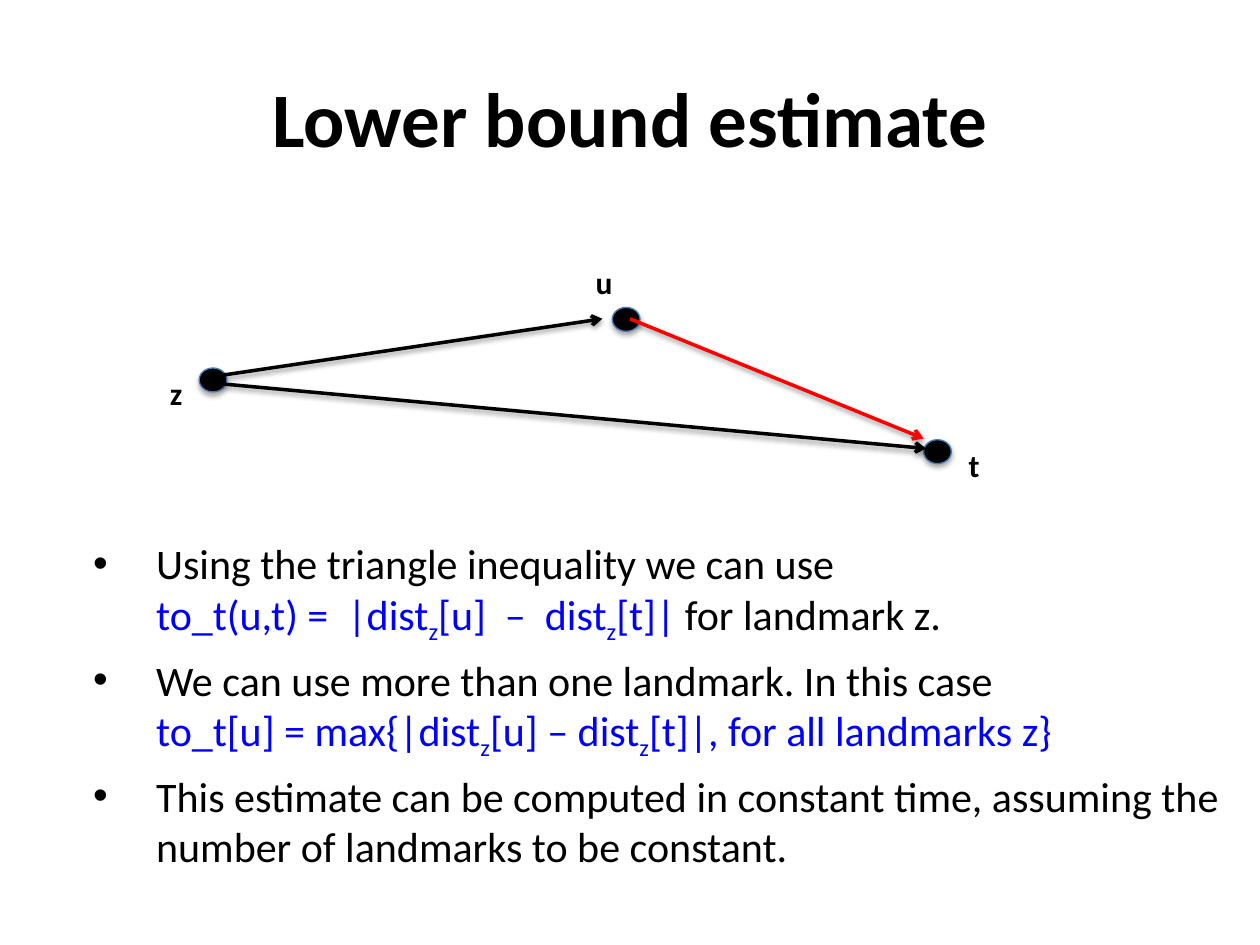
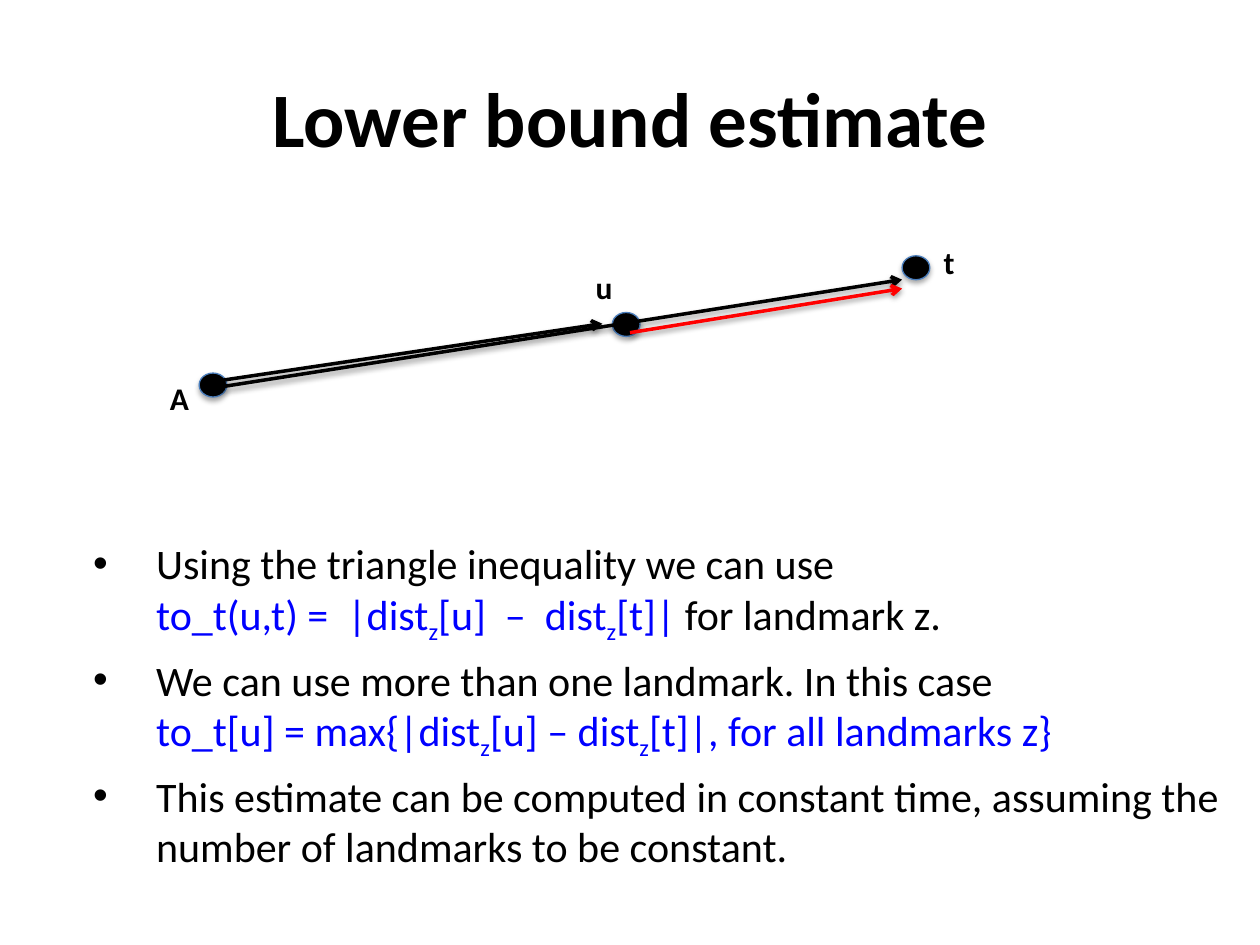
import lxml.etree
import pptx
import pptx.dml.color
import pptx.enum.shapes
import pptx.enum.text
import pptx.oxml.ns
import pptx.util

Pt = pptx.util.Pt
HUES = {"ink": "000000", "math": "0000FF", "path": "FF0000",
        "rim": "4B7EBC", "back": "FFFFFF"}
FONT = "Calibri"
TITLE = "Lower bound estimate"
DOT = (15.84, 13.68)
ITEMS = [
    ("Using the triangle inequality we can use",
     "to_t(u,t) =  |dist~z~[u]  –  dist~z~[t]| ", "for landmark z."),
    ("We can use more than one landmark. In this case",
     "to_t[u] = max{|dist~z~[u] – dist~z~[t]|, for all landmarks z}", ""),
    ("This estimate can be computed in constant time, assuming the "
     "number of landmarks to be constant.", "", ""),
]
BENT = {
    "nodes": [("z", (121.7, 217.1), (-31.7, -6.8)),
              ("t", (535.7, 258.1), (10.8, -6.8)),
              ("u", (357.8, 182.5), (-24.5, -35.6))],
    "edges": [((121, 215.3), (344.2, 182.2), "ink"),
              ((121.7, 218.9), (529.2, 256.3), "ink"),
              ((360, 182.2), (527.8, 250.6), "path")],
}
FLAT = {
    "nodes": [("A", (121.7, 220), (-31.7, -6.8)),
              ("t", (523.4, 153), (8.7, -17.6)),
              ("u", (357.8, 185.4), (-24.5, -35.6))],
    "edges": [((121, 218.2), (344.2, 185), "ink"),
              ((121.7, 221.8), (515.5, 159.8), "ink"),
              ((360, 190.1), (515.5, 164.9), "path")],
}


def tint(name):
    return pptx.dml.color.RGBColor.from_string(HUES[name])


def tag(parent, name, **attrs):
    return lxml.etree.SubElement(parent, pptx.oxml.ns.qn(name), attrs)


def place(shape, left, top, width, height):
    shape.left, shape.top = Pt(left), Pt(top)
    shape.width, shape.height = Pt(width), Pt(height)


def style(run, size, hue="ink", bold=False):
    font = run.font
    font.name, font.size, font.bold = FONT, Pt(size), bold
    font.color.rgb = tint(hue)


def shade(shape, alpha, dist):
    effects = tag(shape.element.spPr, "a:effectLst")
    outer = tag(effects, "a:outerShdw", blurRad=str(Pt(3.1)),
                dist=str(Pt(dist)), dir="5400000", rotWithShape="0")
    color = tag(outer, "a:srgbClr", val=HUES["ink"])
    tag(color, "a:alpha", val=str(alpha * 1000))


def add_dot(slide, center):
    x, y = center
    width, height = DOT
    dot = slide.shapes.add_shape(
        pptx.enum.shapes.MSO_SHAPE.OVAL, Pt(x - width / 2),
        Pt(y - height / 2), Pt(width), Pt(height))
    dot.fill.solid()
    dot.fill.fore_color.rgb = tint("ink")
    dot.line.color.rgb = tint("rim")
    dot.line.width = Pt(0.75)
    shade(dot, 35, 1.8)


def add_label(slide, text, center, shift):
    left, top = center[0] + shift[0], center[1] + shift[1]
    box = slide.shapes.add_textbox(Pt(left), Pt(top), Pt(33), Pt(28.8))
    frame = box.text_frame
    frame.word_wrap = True
    frame.text = text
    style(frame.paragraphs[0].runs[0], 18, bold=True)


def add_edge(slide, start, end, hue):
    edge = slide.shapes.add_connector(
        pptx.enum.shapes.MSO_CONNECTOR.STRAIGHT,
        *[Pt(value) for value in start + end])
    edge.line.color.rgb = tint(hue)
    edge.line.width = Pt(2)
    tag(edge.line._get_or_add_ln(), "a:tailEnd", type="arrow")
    shade(edge, 38, 1.6)


def add_run(para, text, hue="ink", low=False):
    run = para.add_run()
    run.text = text
    style(run, 24, hue)
    if low:
        run.font._element.set("baseline", "-25000")


def fill_item(para, lead, math, tail):
    props = para._p.get_or_add_pPr()
    props.set("marL", str(Pt(36)))
    props.set("indent", str(Pt(-36)))
    para.space_before = Pt(4.8)
    add_run(para, lead)
    if math:
        para.add_line_break()
        for index, part in enumerate(math.split("~")):
            add_run(para, part, "math", index % 2 == 1)
    if tail:
        add_run(para, tail)


def add_title(slide):
    title = slide.shapes.title
    place(title, 36, 21.6, 648, 90)
    frame = title.text_frame
    frame.text = TITLE
    frame.vertical_anchor = pptx.enum.text.MSO_ANCHOR.MIDDLE
    frame.paragraphs[0].alignment = pptx.enum.text.PP_ALIGN.CENTER
    style(frame.paragraphs[0].runs[0], 44, bold=True)


def add_list(slide):
    body = slide.placeholders[1]
    place(body, 46, 303.8, 662.4, 211)
    frame = body.text_frame
    frame.auto_size = pptx.enum.text.MSO_AUTO_SIZE.NONE
    for index, item in enumerate(ITEMS):
        para = frame.add_paragraph() if index else frame.paragraphs[0]
        fill_item(para, *item)


def add_graph(slide, nodes, edges):
    for name, center, shift in nodes:
        add_dot(slide, center)
        add_label(slide, name, center, shift)
    for edge in edges:
        add_edge(slide, *edge)


def main():
    deck = pptx.Presentation()
    deck.slide_width, deck.slide_height = Pt(720), Pt(540)
    fill = deck.slide_master.background.fill
    fill.solid()
    fill.fore_color.rgb = tint("back")
    for graph in (BENT, FLAT):
        slide = deck.slides.add_slide(deck.slide_layouts[1])
        add_title(slide)
        add_graph(slide, **graph)
        add_list(slide)
    deck.save("out.pptx")


if __name__ == "__main__":
    main()
